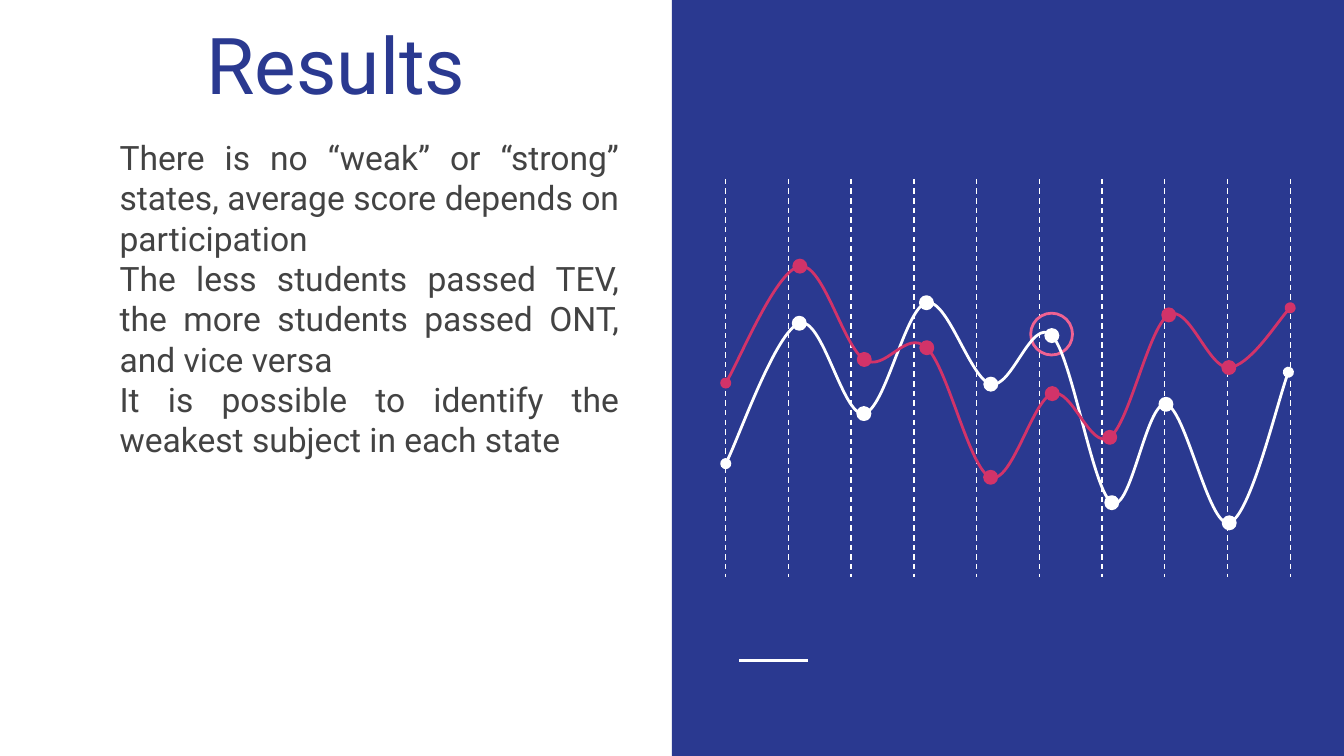
from dataclasses import dataclass

from pptx import Presentation
from pptx.dml.color import RGBColor
from pptx.enum.dml import MSO_LINE
from pptx.enum.shapes import MSO_CONNECTOR, MSO_SHAPE
from pptx.enum.text import MSO_ANCHOR, MSO_AUTO_SIZE, PP_ALIGN
from pptx.oxml.ns import qn
from pptx.util import Pt
from lxml import etree

RECT, OVAL = MSO_SHAPE.RECTANGLE, MSO_SHAPE.OVAL
STRAIGHT, DASH = MSO_CONNECTOR.STRAIGHT, MSO_LINE.DASH
TOP, BOTTOM = MSO_ANCHOR.TOP, MSO_ANCHOR.BOTTOM
CENTER, JUSTIFY = PP_ALIGN.CENTER, PP_ALIGN.JUSTIFY
NO_FIT = MSO_AUTO_SIZE.NONE

BLUE, GREY, WHITE, RED, PINK = "2A3990", "434343", "FFFFFF", "D23369", "F06292"
DOT = 6.5


@dataclass
class Curve:
    color: str
    points: list[tuple[float, float]]


@dataclass
class Block:
    box: tuple[float, float, float, float]
    lines: list[str]
    size: float
    color: str
    align: PP_ALIGN
    anchor: MSO_ANCHOR
    indent: float = 0


CURVES = [
    Curve(WHITE, [(388.8, 248.4), (428.2, 173.2), (462.8, 221.6), (496.3, 162.2),
                  (530.8, 205.8), (563.5, 179.8), (595.6, 269.3), (624.6, 216.6),
                  (658.5, 280.1), (690.2, 199.4)]),
    Curve(RED, [(388.8, 205.2), (428.5, 142.6), (463, 192.6), (496.5, 186.3),
                (530.7, 255.7), (563.7, 210.9), (594.5, 234.3), (626.1, 168.7),
                (658.3, 196.9), (691.2, 164.9)]),
]

HEAD = Block((20.9, 11.5, 318.2, 54.7), ["Results"], 42, BLUE, CENTER, BOTTOM)
BODY = Block((20.9, 66.2, 318.2, 326.2), [
    "There is no “weak” or “strong” states, average score depends on participation",
    "The less students passed TEV, the more students passed ONT, and vice versa",
    "It is possible to identify the weakest subject in each state",
], 18, GREY, JUSTIFY, TOP, 36)


def rgb(code: str) -> RGBColor:
    return RGBColor.from_string(code)


def apply(target, values: dict) -> None:
    for name, value in values.items():
        setattr(target, name, value)


def stroke(line, color: str, width: float) -> None:
    line.color.rgb = rgb(color)
    line.width = Pt(width)


def add_shape(shapes, kind, x: float, y: float, w: float, h: float,
              fill: str = "", edge: str = "") -> None:
    shape = shapes.add_shape(kind, Pt(x), Pt(y), Pt(w), Pt(h))
    shape.shadow.inherit = False
    if fill:
        shape.fill.solid()
        shape.fill.fore_color.rgb = rgb(fill)
    else:
        shape.fill.background()
    if edge:
        stroke(shape.line, edge, 1.5)
    else:
        shape.line.fill.background()


def add_line(shapes, x1: float, y1: float, x2: float, y2: float,
             width: float, dash=None) -> None:
    link = shapes.add_connector(STRAIGHT, Pt(x1), Pt(y1), Pt(x2), Pt(y2))
    stroke(link.line, WHITE, width)
    link.line.dash_style = dash
    etree.SubElement(link._element.spPr, qn("a:effectLst"))


def bend(points: list[tuple[float, float]]) -> list[tuple[float, float]]:
    """Bezier points of a Catmull-Rom spline, three for each segment."""
    ext = [points[0], *points, points[-1]]
    out = []
    for a, b, c, d in zip(ext, ext[1:], ext[2:], ext[3:]):
        out.append((b[0] + (c[0] - a[0]) / 6, b[1] + (c[1] - a[1]) / 6))
        out.append((c[0] - (d[0] - b[0]) / 6, c[1] - (d[1] - b[1]) / 6))
        out.append(c)
    return out


def add_curve(shapes, curve: Curve) -> None:
    x, y = curve.points[0]
    form = shapes.build_freeform(Pt(x), Pt(y))
    form.add_line_segments([(Pt(a), Pt(b)) for a, b in bend(curve.points)],
                           close=False)
    shape = form.convert_to_shape()
    shape.shadow.inherit = False
    shape.fill.background()
    stroke(shape.line, curve.color, 1.5)

    # Turn each three straight steps into one cubic segment
    steps = list(shape._element.iter(qn("a:lnTo")))
    for i in range(0, len(steps), 3):
        cubic = etree.Element(qn("a:cubicBezTo"))
        steps[i].addprevious(cubic)
        for step in steps[i:i + 3]:
            cubic.append(step[0])
            step.getparent().remove(step)

    # Round ends, and dots on the inner points
    for tag in ("a:headEnd", "a:tailEnd"):
        etree.SubElement(shape.line._get_or_add_ln(), qn(tag), type="oval")
    for x, y in curve.points[1:-1]:
        add_shape(shapes, OVAL, x - DOT / 2, y - DOT / 2, DOT, DOT,
                  curve.color, curve.color)


def fill_text(holder, block: Block) -> None:
    left, top, width, height = map(Pt, block.box)
    apply(holder, {"left": left, "top": top, "width": width, "height": height})
    frame = holder.text_frame
    frame.text = "\n".join(block.lines)
    apply(frame, {"word_wrap": True, "auto_size": NO_FIT,
                  "vertical_anchor": block.anchor,
                  "margin_left": Pt(7.2), "margin_right": Pt(7.2),
                  "margin_top": Pt(7.2), "margin_bottom": Pt(7.2)})
    for para in frame.paragraphs:
        apply(para, {"alignment": block.align, "line_spacing": 1.0,
                     "space_before": Pt(0), "space_after": Pt(0)})
        props = para._p.get_or_add_pPr()
        props.set("marL", str(Pt(block.indent)))
        props.set("indent", "0")
        font = para.runs[0].font
        apply(font, {"name": "Roboto", "size": Pt(block.size), "bold": False})
        font.color.rgb = rgb(block.color)


def main() -> None:
    deck = Presentation()
    apply(deck, {"slide_width": Pt(720), "slide_height": Pt(405)})
    slide = deck.slides.add_slide(deck.slide_layouts[0])
    shapes = slide.shapes

    # Title and findings
    fill_text(shapes.title, HEAD)
    fill_text(slide.placeholders[1], BODY)

    # Right panel with its short rule
    add_shape(shapes, RECT, 360, 0, 360, 405, BLUE)
    add_line(shapes, 396, 354, 432.7, 354, 1.5)

    # Dashed grid
    for i in range(10):
        x = 388.8 + 33.6 * i
        add_line(shapes, x, 95.8, x, 308.9, 0.75, DASH)

    # Ring around the peak, then the curves
    add_shape(shapes, OVAL, 552.2, 167.8, 22.4, 22.4, edge=PINK)
    for curve in CURVES:
        add_curve(shapes, curve)

    deck.save("out.pptx")


if __name__ == "__main__":
    main()
